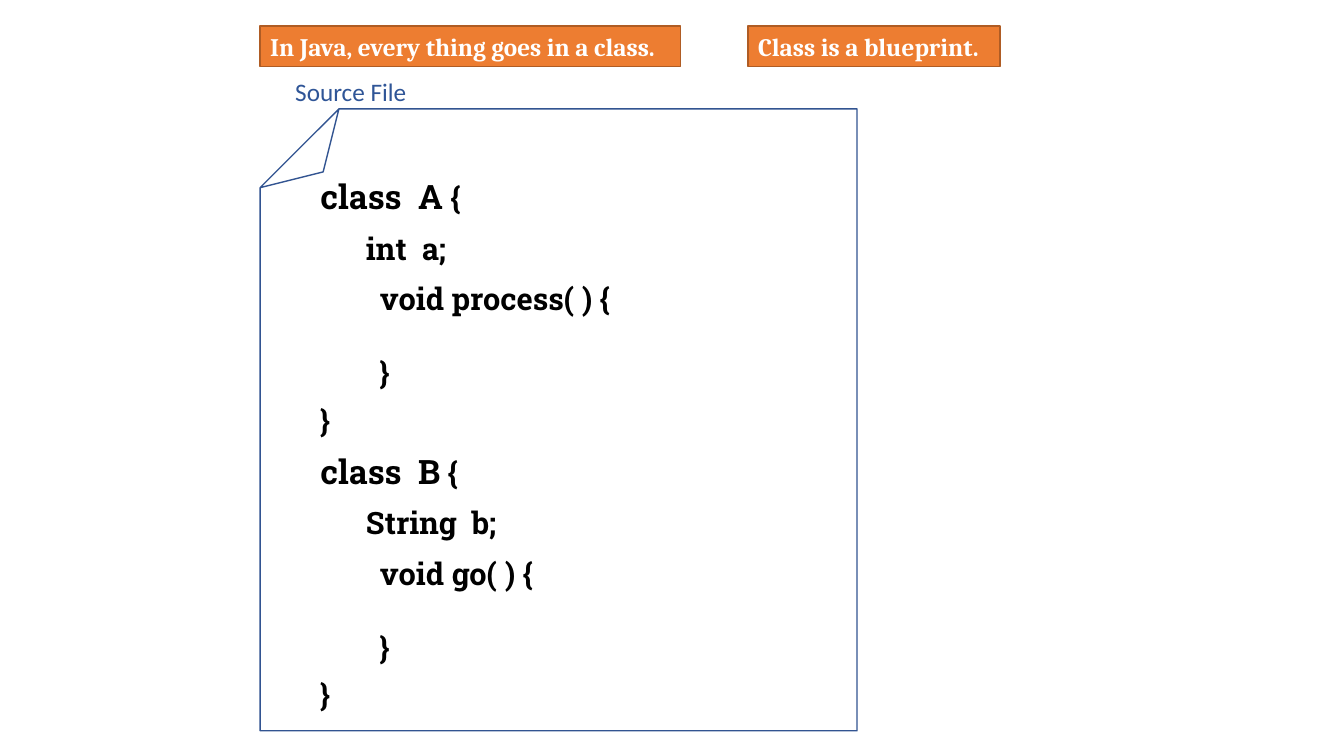
import lxml.etree
import pptx
import pptx.util
import pptx.dml.color
import pptx.enum.shapes
import pptx.enum.text
import pptx.oxml.ns

Inches, Pt = pptx.util.Inches, pptx.util.Pt
SHAPE = pptx.enum.shapes.MSO_SHAPE


def rgb(value):
    return pptx.dml.color.RGBColor.from_string(value)


def write(s, *lines, size=22, font="Roboto Slab", color="000000", bold=True,
          indent=0.1, gap=0):
    """Fill s with lines, each a string or a list of (text, size) runs."""
    tf = s.text_frame
    tf.word_wrap = True
    tf.margin_left = Inches(indent)
    tf.vertical_anchor = pptx.enum.text.MSO_ANCHOR.TOP
    for i, line in enumerate(lines):
        p = tf.add_paragraph() if i else tf.paragraphs[0]
        p.alignment = pptx.enum.text.PP_ALIGN.LEFT
        p.space_before = Pt(gap if i else 0)
        for text, points in [(line, size)] if isinstance(line, str) else line:
            r = p.add_run()
            r.text = text
            r.font.size, r.font.name, r.font.bold = Pt(points), font, bold
            r.font.color.rgb = rgb(color)


prs = pptx.Presentation()
prs.slide_width, prs.slide_height = Inches(13.33), Inches(7.5)
shapes = prs.slides.add_slide(prs.slide_layouts[6]).shapes

s = shapes.add_textbox(Inches(2.83), Inches(0.71), Inches(1.33), Inches(0.4))
write(s, "Source File", size=18, font="Calibri", color="2F5597", bold=False)

# Statements above the source file
for left, width, text in [(2.58, 4.17, "In Java, every thing goes in a class."),
                          (7.42, 2.5, "Class is a blueprint.")]:
    s = shapes.add_shape(SHAPE.RECTANGLE, Inches(left), Inches(0.26), Inches(width), Inches(0.4))
    s.shadow.inherit = False
    s.fill.solid()
    s.fill.fore_color.rgb = rgb("ED7D31")
    s.line.color.rgb = rgb("AF5C24")
    s.line.width = Pt(1)
    write(s, text, size=18, font="Cambria", color="FFFFFF")

# Page whose folded corner is turned to the top left
page = shapes.add_shape(SHAPE.FOLDED_CORNER, Inches(2.58), Inches(1.08), Inches(5.92), Inches(6.17))
page.rotation = 180
fold = page.element.xpath(".//a:avLst")[0]
lxml.etree.SubElement(fold, pptx.oxml.ns.qn("a:gd"), name="adj", fmla="val 13200")
page.shadow.inherit = False
page.fill.background()
page.line.color.rgb = rgb("325491")
page.line.width = Pt(1)

# Code of the two classes
for top, name, field, method in [(1.7, "class  A", "int  a;", "void process( ) {"),
                                 (4.42, "class  B", "String  b;", "void go( ) {")]:
    s = shapes.add_textbox(Inches(3.08), Inches(top), Inches(4.83), Inches(2.73))
    write(s, [(name, 24), (" {", 22)], "}", gap=132)
    s = shapes.add_textbox(Inches(3.17), Inches(top + 0.53), Inches(4.5), Inches(0.47))
    write(s, field, indent=0.46)
    s = shapes.add_textbox(Inches(3.67), Inches(top + 1.03), Inches(3.5), Inches(1.21))
    write(s, method, "}", gap=26.4)

prs.save("out.pptx")
